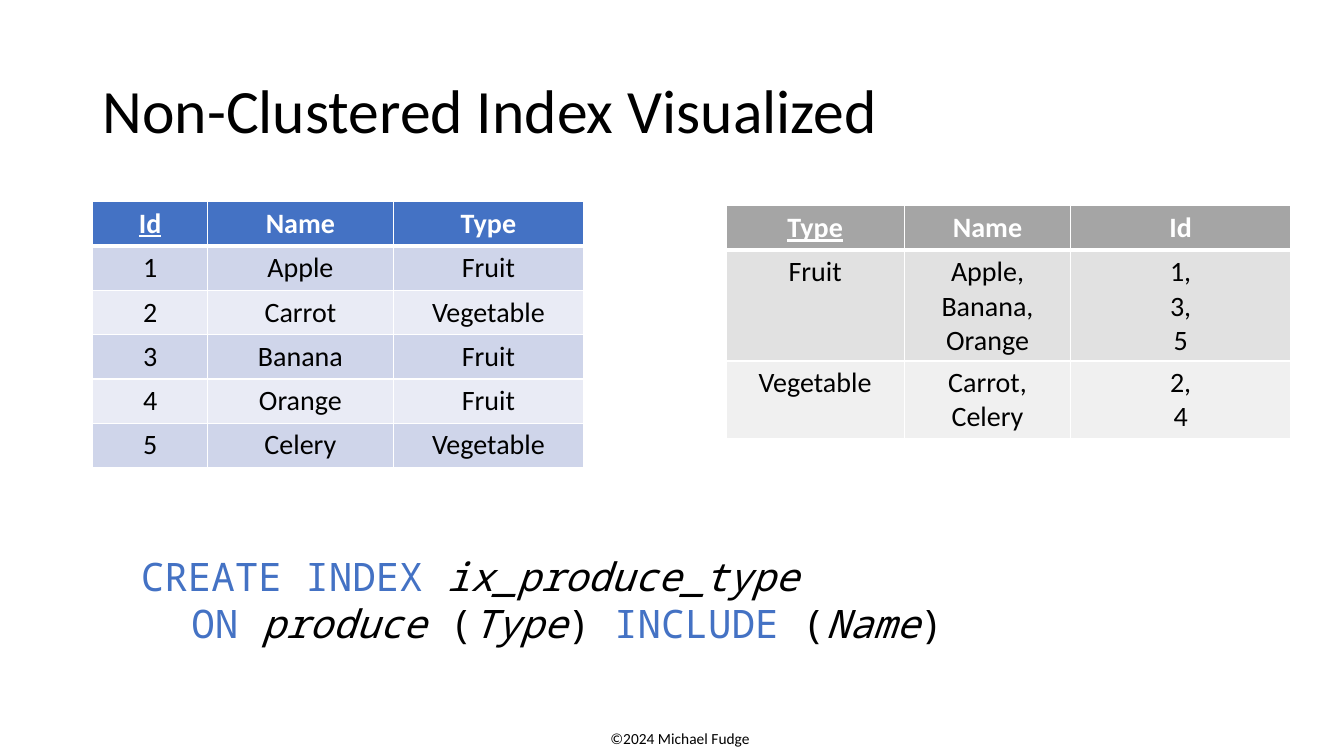
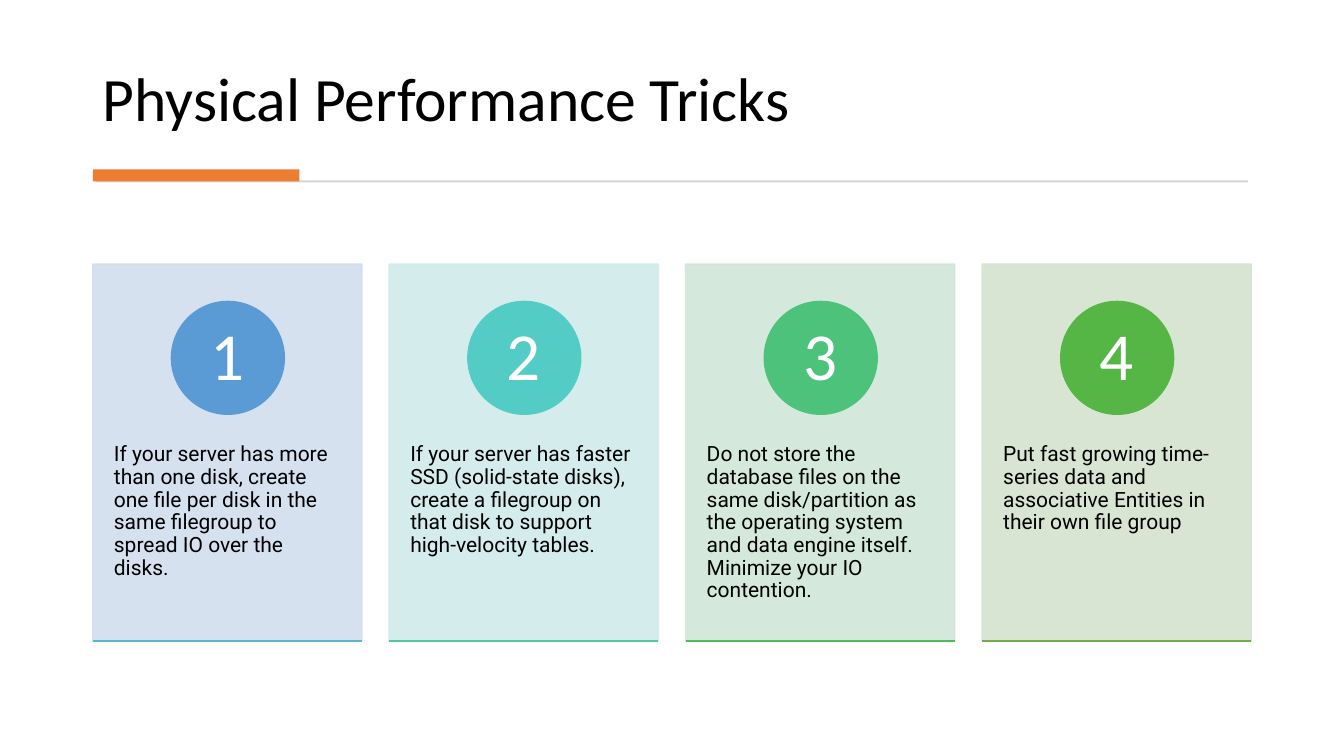
import lxml.etree
import pptx
import pptx.dml.color
import pptx.enum.shapes
import pptx.enum.text
import pptx.oxml.ns
import pptx.util

Inches = pptx.util.Inches
Pt = pptx.util.Pt
Shape = pptx.enum.shapes.MSO_SHAPE
Align = pptx.enum.text.PP_ALIGN
Anchor = pptx.enum.text.MSO_ANCHOR
qn = pptx.oxml.ns.qn

BLACK, WHITE, BLUE = "000000", "FFFFFF", "4472C4"


def color(code):
    return pptx.dml.color.RGBColor.from_string(code)


def child(node, tag, **attrs):
    return lxml.etree.SubElement(node, qn(tag), attrs)


class Deck:
    body = "Calibri"
    code_font = "Noto Sans Mono"
    note_font = "Roboto"
    left = 0.92

    def __init__(self):
        self.show = pptx.Presentation()
        self.show.slide_width = Inches(13.33)
        self.show.slide_height = Inches(7.5)

    def page(self, title, top, height, anchor):
        self.slide = self.show.slides.add_slide(self.show.slide_layouts[6])
        self.text(title, (self.left, top, 11.5, height), 44,
                  anchor=anchor, space=0.9)

    def style(self, para, size, font=None, ink=BLACK, bold=None, align=None):
        para.font.size = Pt(size)
        para.font.name = font or self.body
        para.font.color.rgb = color(ink)
        para.font.bold = bold
        para.alignment = align

    def box(self, area, anchor=Anchor.TOP, pad=(0.1, 0.05)):
        frame = self.slide.shapes.add_textbox(*map(Inches, area)).text_frame
        frame.word_wrap = True
        frame.vertical_anchor = anchor
        frame.margin_left = frame.margin_right = Inches(pad[0])
        frame.margin_top = frame.margin_bottom = Inches(pad[1])
        return frame

    def text(self, words, area, size, font=None, ink=BLACK, align=Align.LEFT,
             anchor=Anchor.TOP, pad=(0.1, 0.05), space=1.0):
        para = self.box(area, anchor, pad).paragraphs[0]
        para.text = words
        para.line_spacing = space
        self.style(para, size, font, ink, align=align)

    def footer(self, words):
        self.text(words, (5.75, 7.18, 1.99, 0.29), 11, align=Align.CENTER)

    def code(self, lines, area):
        para = self.box(area).paragraphs[0]
        props = para._p.get_or_add_pPr()
        props.set("marL", str(Inches(0.1)))
        props.set("indent", "0")
        child(child(props, "a:tabLst"), "a:tab", pos=str(Inches(1)), algn="l")
        para.font.size = Pt(28)
        para.font.name = self.code_font
        looks = {"key": (BLUE, False), "name": (BLACK, True),
                 "mark": (BLACK, False)}
        for index, line in enumerate(lines):
            if index:
                para.add_line_break()
            for kind, words in line:
                run = para.add_run()
                run.text = words
                ink, slant = looks[kind]
                run.font.color.rgb = color(ink)
                run.font.italic = slant

    def shape(self, kind, area, fill, line=False, alpha=None):
        item = self.slide.shapes.add_shape(kind, *map(Inches, area))
        item.shadow.inherit = False
        item.fill.solid()
        item.fill.fore_color.rgb = color(fill)
        if line:
            item.line.color.rgb = color(fill)
            item.line.width = Pt(1)
        else:
            item.line.fill.background()
        if alpha:
            for tint in list(item._element.spPr.iter(qn("a:srgbClr"))):
                child(tint, "a:alpha", val=str(alpha * 1000))

    def rule(self, left, top, width, ink):
        line = self.slide.shapes.add_connector(
            pptx.enum.shapes.MSO_CONNECTOR.STRAIGHT,
            Inches(left), Inches(top), Inches(left + width), Inches(top))
        line.line.color.rgb = color(ink)
        line.line.width = Pt(1)
        child(line._element.spPr, "a:effectLst")

    def border(self, cell, row):
        props = cell._tc.get_or_add_tcPr()
        widths = {"L": 1, "R": 1, "T": 3 if row == 1 else 1,
                  "B": 3 if row == 0 else 1}
        for side, width in widths.items():
            edge = child(props, "a:ln" + side, w=str(Pt(width)))
            child(child(edge, "a:solidFill"), "a:srgbClr", val=WHITE)

    def table(self, rows, left, top, widths, head, bands):
        high = 0.44
        grid = self.slide.shapes.add_table(
            len(rows), len(widths), Inches(left), Inches(top),
            Inches(sum(widths)), Inches(high * len(rows))).table
        for col, width in zip(grid.columns, widths):
            col.width = Inches(width)
        for r, row in enumerate(rows):
            grid.rows[r].height = Inches(high)
            for c, words in enumerate(row):
                cell = grid.cell(r, c)
                self.border(cell, r)
                cell.fill.solid()
                cell.fill.fore_color.rgb = color(
                    bands[(r - 1) % 2] if r else head)
                cell.text_frame.text = words
                for para in cell.text_frame.paragraphs:
                    self.style(para, 20, ink=BLACK if r else WHITE,
                               bold=r == 0, align=Align.CENTER)
                    para.font.underline = r == 0 and c == 0

    def card(self, index, words, back, disc, edge):
        wide, top = 2.67, 2.62
        left = self.left + index * 2.94
        self.shape(Shape.RECTANGLE, (left, top, wide, 3.74), back, True, 90)
        self.text(words, (left, 4.04, wide, 2.25), 15, self.note_font,
                  pad=(0.21, 0.36), space=0.9)
        self.shape(Shape.OVAL, (left + 0.78, 2.99, 1.12, 1.12), disc, True)
        self.text(str(index + 1), (left + 0.94, 3.16, 0.79, 0.79), 48,
                  ink=WHITE, align=Align.CENTER, anchor=Anchor.MIDDLE,
                  pad=(0.09, 0.01), space=0.9)
        self.rule(left, top + 3.74, wide, edge)


def main():
    deck = Deck()

    deck.page("Non-Clustered Index Visualized", 0.4, 1.45, Anchor.MIDDLE)
    deck.footer("©2024 Michael Fudge")
    deck.table([("Id", "Name", "Type"),
                ("1", "Apple", "Fruit"),
                ("2", "Carrot", "Vegetable"),
                ("3", "Banana", "Fruit"),
                ("4", "Orange", "Fruit"),
                ("5", "Celery", "Vegetable")],
               deck.left, 2, (1.14, 1.84, 1.89), BLUE, ("CFD5EA", "E9EBF5"))
    deck.code([[("key", "CREATE INDEX "), ("name", "ix_produce_type")],
               [("key", "\tON "), ("name", "produce"), ("mark", " ("),
                ("name", "Type"), ("mark", ") "), ("key", "INCLUDE"),
                ("mark", " ("), ("name", "Name"), ("mark", ")")]],
              (1.2, 5.43, 8.46, 1.04))
    deck.table([("Type", "Name", "Id"),
                ("Fruit", "Apple,\vBanana,\vOrange", "1,\v3,\n5"),
                ("Vegetable", "Carrot,\vCelery", "2,\v4")],
               7.2, 2.04, (1.77, 1.65, 2.18), "A5A5A5", ("E1E1E1", "F0F0F0"))

    deck.page("Physical Performance Tricks", 0.28, 1.11, Anchor.BOTTOM)
    deck.shape(Shape.RECTANGLE, (0.95, 1.79, 11.43, 0.02), "D5D5D5")
    deck.shape(Shape.RECTANGLE, (deck.left, 1.68, 2.05, 0.12), "ED7D31")
    cards = [
        ("If your server has more than one disk, create one file per disk "
         "in the same filegroup to spread IO over the disks.",
         "D2DEEF", "5B9BD5", "57B7D1"),
        ("If your server has faster SSD (solid-state disks), create a "
         "filegroup on that disk to support high-velocity tables.",
         "D0ECEA", "53CCC5", "4FC7A0"),
        ("Do not store the database files on the same disk/partition as the "
         "operating system and data engine itself. Minimize your IO "
         "contention.",
         "D0E7D8", "4CC27B", "48BD58"),
        ("Put fast growing time-series data and associative Entities in "
         "their own file group",
         "D5E3CF", "55B646", "70AD47"),
    ]
    for index, card in enumerate(cards):
        deck.card(index, *card)

    deck.show.save("out.pptx")


if __name__ == "__main__":
    main()
